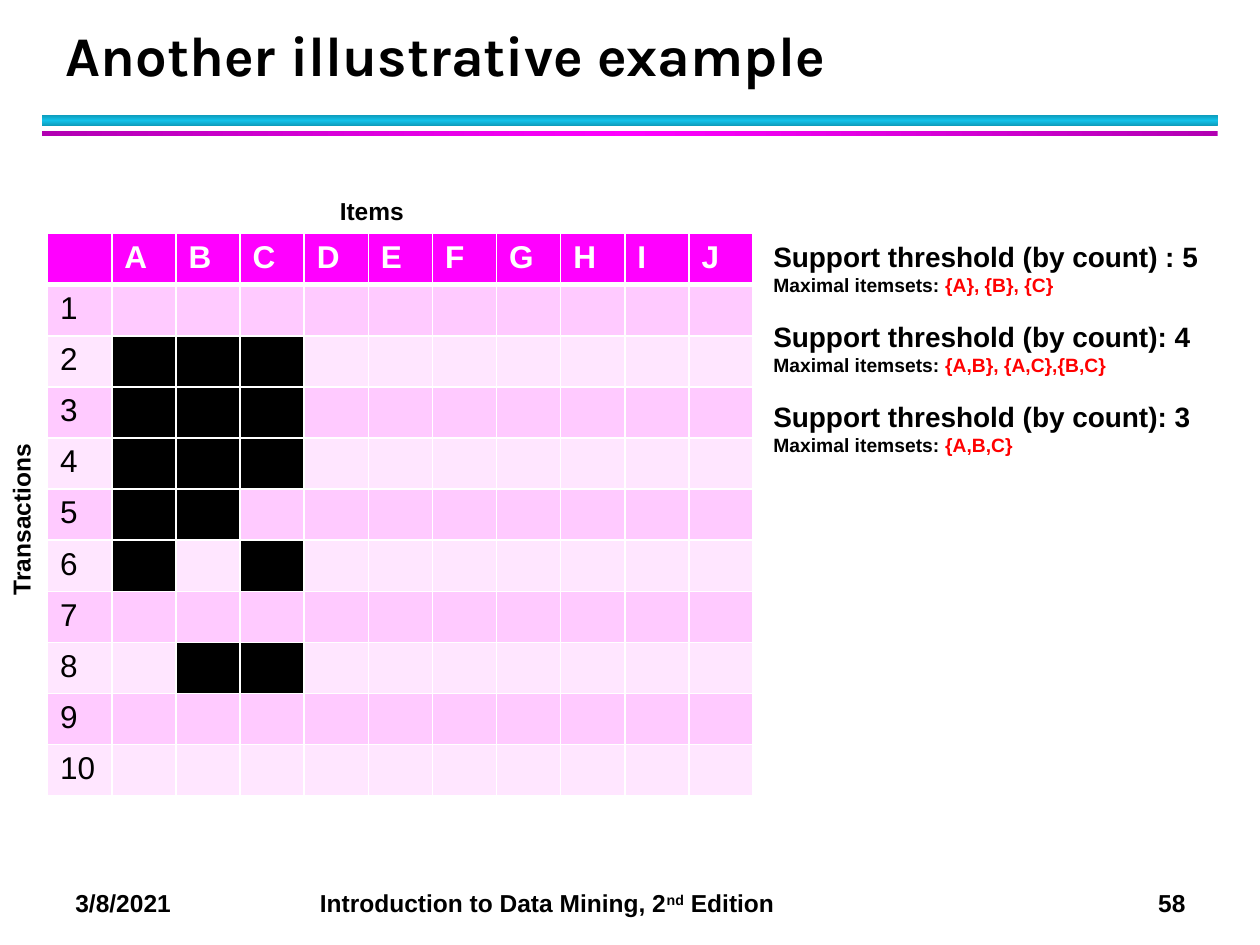
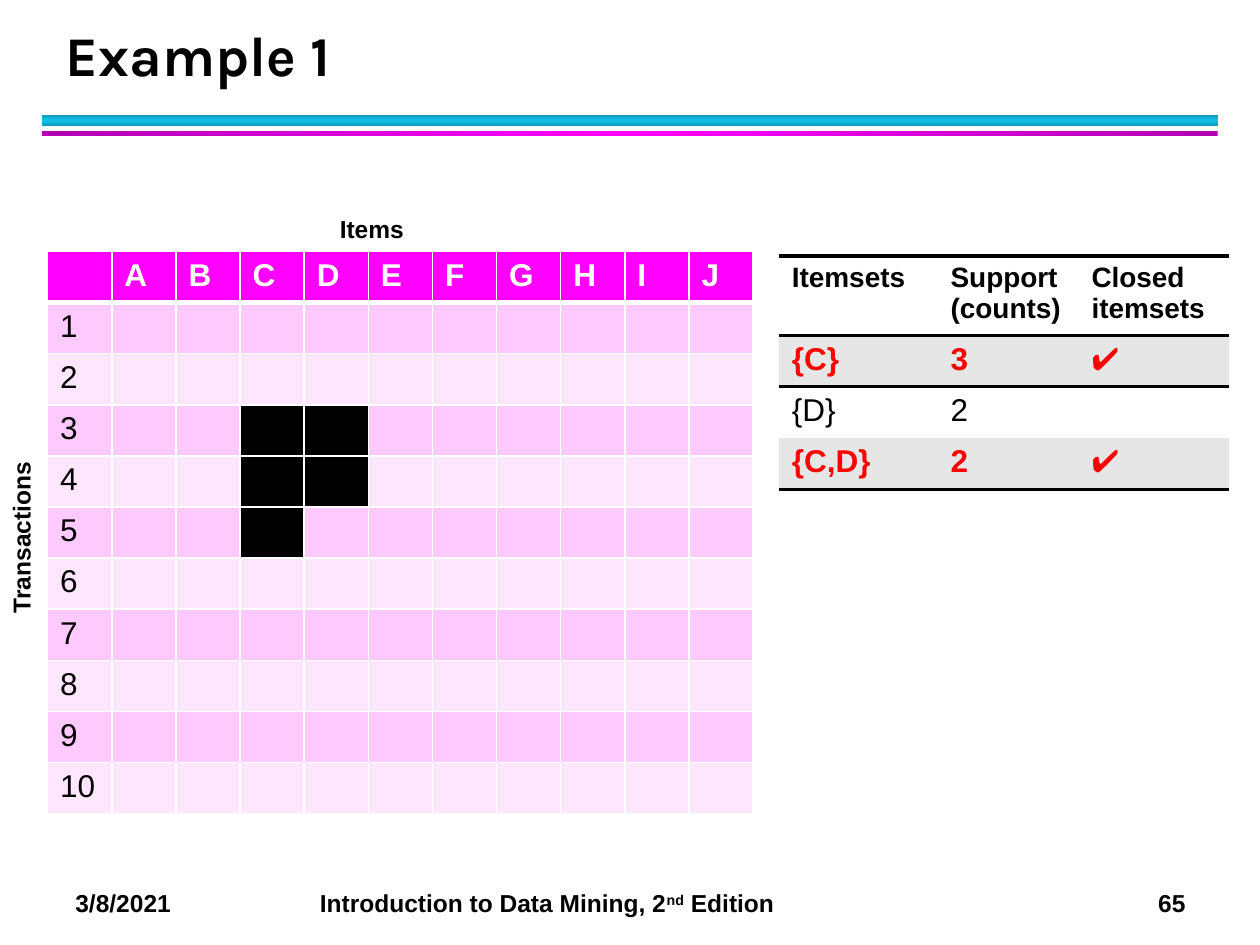
"""Build two slides on maximal and closed itemsets in a transaction grid."""
from copy import deepcopy

from pptx import Presentation
from pptx.dml.color import RGBColor
from pptx.enum.shapes import MSO_SHAPE as SHAPE
from pptx.enum.text import MSO_ANCHOR as ANCHOR, MSO_AUTO_SIZE as AUTO, PP_ALIGN as ALIGN
from pptx.oxml import parse_xml
from pptx.oxml.ns import nsdecls, qn
from pptx.util import Cm, Pt

COLORS = {
    "black": "000000", "white": "FFFFFF", "red": "FF0000", "gray": "E6E6E6",
    "magenta": "FF00FF", "plum": "B200B2", "cyan": "12C2E9", "teal": "0E9BBA",
    "pink": "FFCAFF", "pale": "FFE6FF",
}
NO_STYLE = "{2D5ABB26-0587-4C30-8999-92F81FD0307C}"
ITEMS = "ABCDEFGHIJ"
TRANSACTIONS = 10
BARS = [
    (2.32, 0.22, 90, "teal", "cyan"),
    (2.64, 0.11, 0, "plum", "magenta"),
]
SLIDES = [
    {"title": "Another illustrative example", "number": 58, "grid_top": 4.71,
     "bought": {2: "ABC", 3: "ABC", 4: "ABC", 5: "AB", 6: "AC", 8: "BC"}},
    {"title": "Example 1", "number": 65, "grid_top": 5.07,
     "bought": {3: "CD", 4: "CD", 5: "C"}},
]
THRESHOLDS = [
    ("Support threshold (by count) : 5", "{A}, {B}, {C}"),
    ("Support threshold (by count): 4", "{A,B}, {A,C},{B,C}"),
    ("Support threshold (by count): 3", "{A,B,C}"),
]
CLOSED_HEAD = ["Itemsets", "Support\n(counts)", "Closed itemsets"]
CLOSED_ROWS = [("{C}", "3", "✔"), ("{D}", "2", ""), ("{C,D}", "2", "✔")]


def rgb(name):
    return RGBColor.from_string(COLORS[name])


def write(p, text, size=14, color="black", bold=True, font="Arial", baseline=0):
    r = p.add_run()
    r.text = text
    r.font.size, r.font.bold, r.font.name = Pt(size), bold, font
    r.font.color.rgb = rgb(color)
    if baseline:
        r._r.get_or_add_rPr().set("baseline", str(baseline * 1000))


def add_box(s, left, top, width, height, text="", rotation=0):
    sp = s.shapes.add_textbox(Cm(left), Cm(top), Cm(width), Cm(height))
    sp.rotation = rotation
    sp.text_frame.word_wrap = True
    p = sp.text_frame.paragraphs[0]
    if text:
        write(p, text)
    return sp.text_frame, p


def add_bar(s, top, height, angle, edge, middle):
    sp = s.shapes.add_shape(SHAPE.RECTANGLE, Cm(0.85), Cm(top), Cm(23.7), Cm(height))
    sp.shadow.inherit = False
    sp.line.fill.background()
    sp.fill.gradient()
    sp.fill.gradient_angle = angle
    stops = sp.element.find(".//" + qn("a:gsLst"))
    stops.append(deepcopy(stops[0]))
    for stop, position, name in zip(sp.fill.gradient_stops, (0, 0.5, 1), (edge, middle, edge)):
        stop.position = position
        stop.color.rgb = rgb(name)


def add_footer(s, number):
    _, p = add_box(s, 1.27, 17.78, 23.7, 0.86)
    p._p.get_or_add_pPr().append(parse_xml(
        f'<a:tabLst {nsdecls("a")}><a:tab pos="{Cm(4.93)}" algn="l"/>'
        f'<a:tab pos="{Cm(22.38)}" algn="r"/></a:tabLst>'))
    write(p, "3/8/2021\tIntroduction to Data Mining, 2")
    write(p, "nd", baseline=30)
    write(p, f" Edition\t{number}")


def add_base(prs, title, number):
    s = prs.slides.add_slide(prs.slide_layouts[5])
    for bar in BARS:
        add_bar(s, *bar)
    add_footer(s, number)
    sp = s.shapes.title
    sp.left, sp.top, sp.width, sp.height = Cm(1.07), Cm(0.43), Cm(23.01), Cm(1.47)
    tf = sp.text_frame
    tf.auto_size, tf.vertical_anchor = AUTO.NONE, ANCHOR.BOTTOM
    p = tf.paragraphs[0]
    p.alignment, p.line_spacing = ALIGN.LEFT, 1.12
    write(p, title, size=32, font="Karla")
    return s


def add_plain_table(s, left, top, widths, heights):
    frame = s.shapes.add_table(len(heights), len(widths), Cm(left), Cm(top),
                               Cm(sum(widths)), Cm(sum(heights)))
    frame.element.find(".//" + qn("a:tableStyleId")).text = NO_STYLE
    table = frame.table
    table.first_row = table.horz_banding = False
    for col, width in zip(table.columns, widths):
        col.width = Cm(width)
    for row, height in zip(table.rows, heights):
        row.height = Cm(height)
    return table


def fill_cell(cell, text, fill, borders, **style):
    tc_pr = cell._tc.get_or_add_tcPr()
    for side in "LRTB":
        if side in borders:
            name, width = borders[side]
            tc_pr.append(parse_xml(
                f'<a:ln{side} {nsdecls("a")} w="{Pt(width)}"><a:solidFill>'
                f'<a:srgbClr val="{COLORS[name]}"/></a:solidFill></a:ln{side}>'))
    cell.fill.solid()
    cell.fill.fore_color.rgb = rgb(fill)
    tf = cell.text_frame
    for i, line in enumerate(text.split("\n") if text else []):
        write(tf.add_paragraph() if i else tf.paragraphs[0], line, **style)


def add_grid(s, top, bought):
    n = len(ITEMS) + 1
    table = add_plain_table(s, 0.96, top, [14.23 / n] * n, [1.03] * (TRANSACTIONS + 1))
    thin = dict.fromkeys("LRTB", ("white", 1))
    thick = ("white", 3)
    for row in range(TRANSACTIONS + 1):
        band = "pink" if row % 2 else "pale"
        for col, item in enumerate(" " + ITEMS):
            cell = table.cell(row, col)
            if row == 0:
                fill_cell(cell, item.strip(), "magenta", thin | {"B": thick}, size=18, color="white")
            else:
                fill = "black" if item in bought.get(row, "") else band
                borders = thin | {"T": thick} if row == 1 else thin
                fill_cell(cell, "" if col else str(row), fill, borders, size=18, bold=False)
    add_box(s, 6.6, top - 0.89, 1.96, 1.02, "Items")
    add_box(s, -1.37, top + 5.15, 3.76, 1.02, "Transactions", rotation=270)


def add_thresholds(s):
    tf, p = add_box(s, 15.34, 4.7, 9.19, 4.7)
    for i, (heading, itemsets) in enumerate(THRESHOLDS):
        if i:
            p = tf.add_paragraph()
            p.space_before = Pt(13.5)
        write(p, heading, size=16)
        p = tf.add_paragraph()
        write(p, "Maximal itemsets: ", size=11)
        write(p, itemsets, size=11, color="red")


def add_closed_table(s):
    table = add_plain_table(s, 15.71, 5.16, [3.2, 2.84, 3.02], [1.61] + [1.03] * 3)
    rule = ("black", 2)
    for col, text in enumerate(CLOSED_HEAD):
        fill_cell(table.cell(0, col), text, "white", {"T": rule, "B": rule}, size=16)
    for row, texts in enumerate(CLOSED_ROWS, 1):
        closed = bool(texts[-1])
        borders = {"T": rule} if row == 1 else {"B": rule} if row == len(CLOSED_ROWS) else {}
        for col, text in enumerate(texts):
            fill_cell(table.cell(row, col), text, "gray" if row % 2 else "white", borders,
                      size=18, color="red" if closed else "black", bold=closed)


def main():
    prs = Presentation()
    prs.slide_width, prs.slide_height = Cm(25.4), Cm(19.05)
    for content, add_side in zip(SLIDES, (add_thresholds, add_closed_table)):
        s = add_base(prs, content["title"], content["number"])
        add_grid(s, content["grid_top"], content["bought"])
        add_side(s)
    prs.save("out.pptx")


if __name__ == "__main__":
    main()
